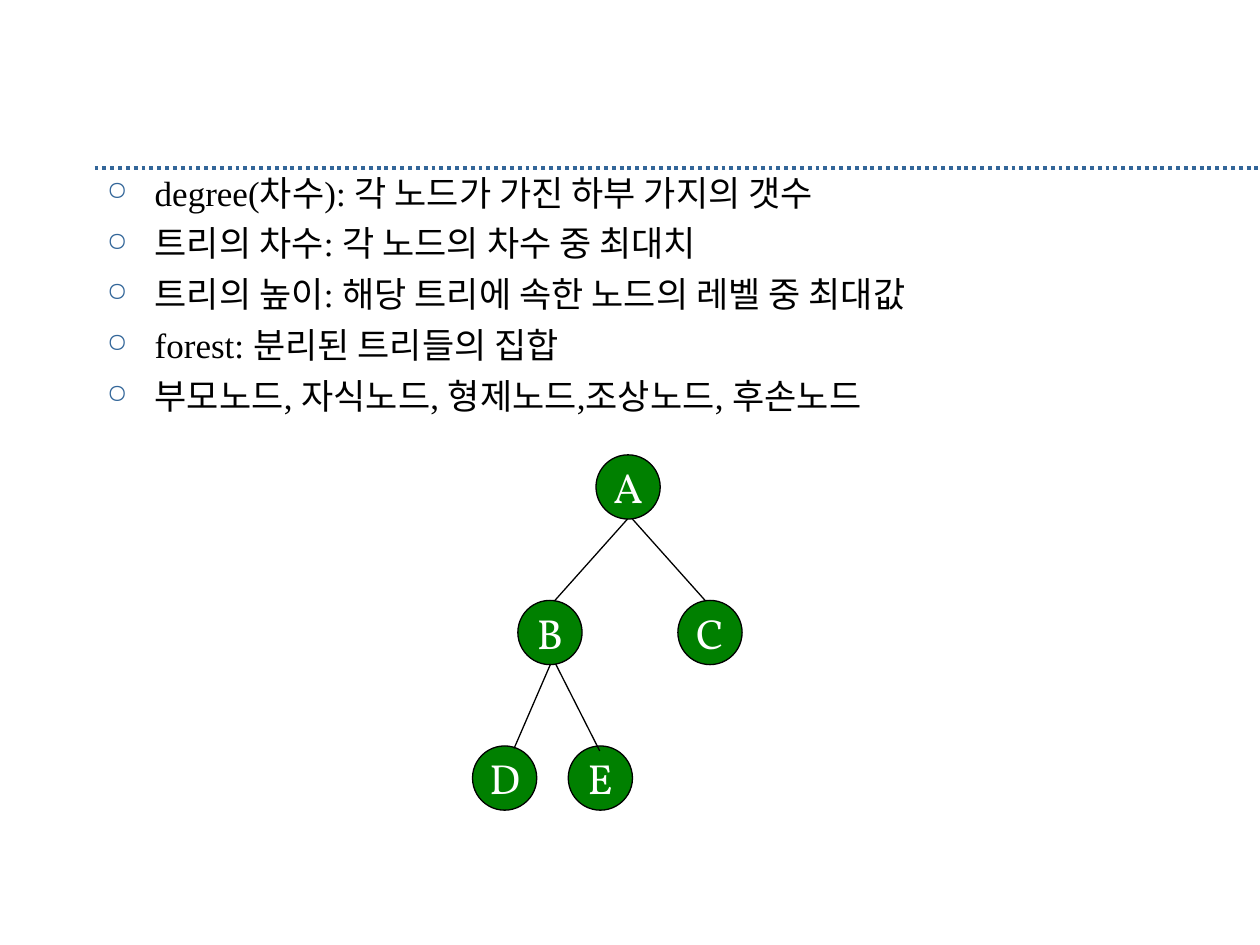
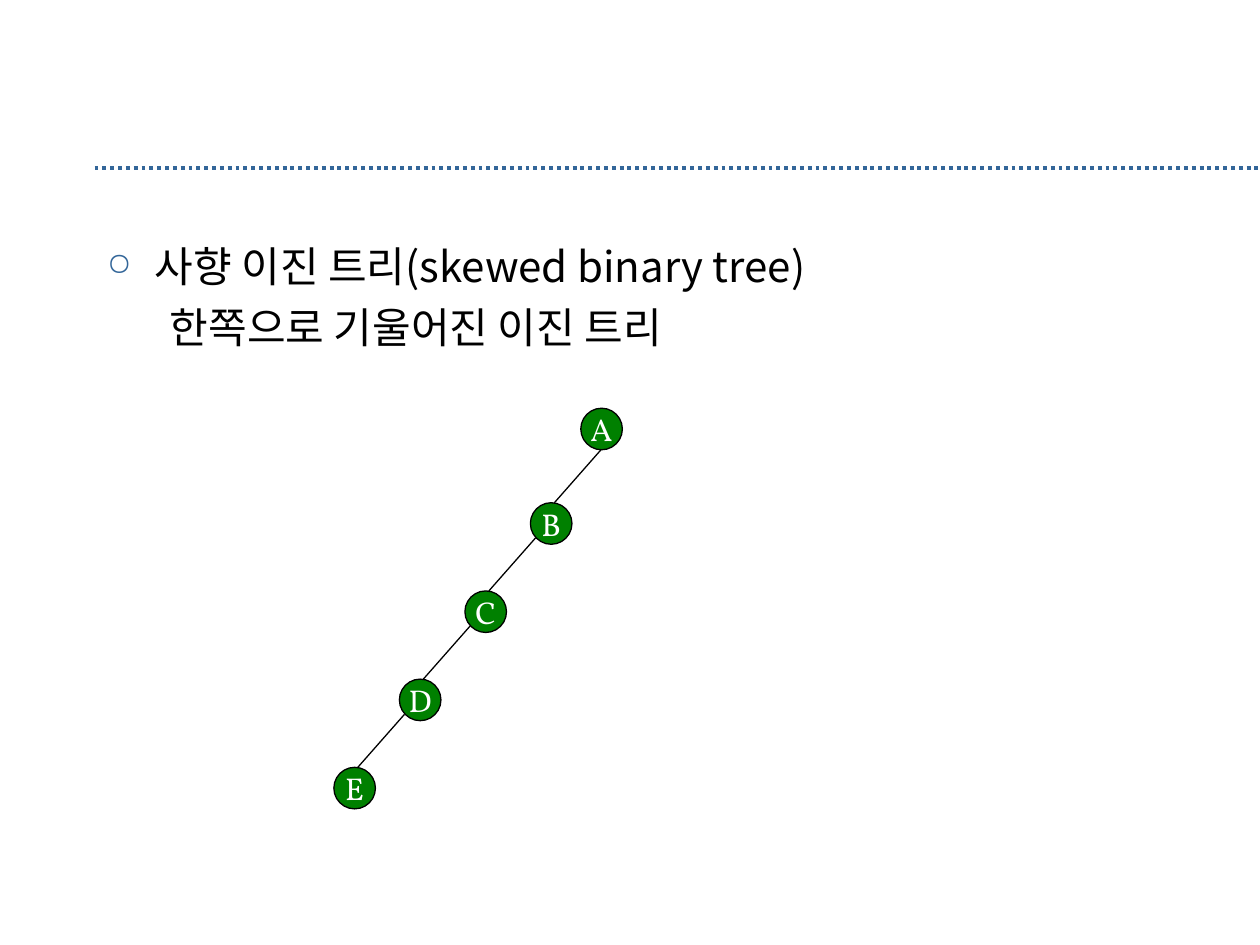
"""Two slides on trees: terms with a sample tree, and a skewed binary tree."""
from dataclasses import dataclass

from lxml import etree
from pptx import Presentation
from pptx.dml.color import RGBColor
from pptx.enum.dml import MSO_LINE
from pptx.enum.shapes import MSO_CONNECTOR, MSO_SHAPE
from pptx.enum.text import MSO_ANCHOR, PP_ALIGN
from pptx.oxml.ns import qn
from pptx.util import Inches, Pt

STRAIGHT = MSO_CONNECTOR.STRAIGHT
ELLIPSE = MSO_SHAPE.OVAL
MIDDLE = MSO_ANCHOR.MIDDLE
CENTER = PP_ALIGN.CENTER
DOTTED = MSO_LINE.ROUND_DOT

WIDTH, HEIGHT = Inches(10), Inches(7.5)
COLUMNS = 10
LEFT, BODY_COLUMNS, BODY_END = 0.75, 8.5, 6.67


@dataclass(frozen=True)
class Theme:
    """Colours, fonts and sizes shared by the slides."""
    accent: str = "336699"
    ink: str = "000000"
    node: str = "008000"
    node_text: str = "FFFFFF"
    serif: str = "Times New Roman"
    sans: str = "Noto Sans CJK KR"
    label: str = "Vollkorn"
    terms_size: int = 20
    skewed_size: int = 24
    tree_label: int = 24
    skewed_label: int = 18
    thin: float = 0.75
    thick: float = 2.25


THEME = Theme()

TERMS = [
    "degree(차수): 각 노드가 가진 하부 가지의 갯수",
    "트리의 차수: 각 노드의 차수 중 최대치",
    "트리의 높이: 해당 트리에 속한 노드의 레벨 중 최대값",
    "forest: 분리된 트리들의 집합",
    "부모노드, 자식노드, 형제노드,조상노드, 후손노드",
]
TREE_TOP, TREE_STEP, TREE_NODE = 3.61, 1.155, 0.51
TREE_LEVELS = [
    [("A", 4.73)],
    [("B", 4.11), ("C", 5.38)],
    [("D", 3.75), ("E", 4.51)],
]
TREE_EDGES = [
    (4.98, 4.12, 4.4, 4.77),
    (5.02, 4.12, 5.6, 4.77),
    (4.37, 5.27, 4.08, 5.94),
    (4.41, 5.27, 4.76, 5.96),
]
SKEWED_NODE = 0.33
SKEWED_ROOT = (4.61, 3.24)
SKEWED_CHILD = (4.21, 3.99)
SKEWED_STEP = (-0.52, 0.7)
SKEWED_EDGE = (0.37, 0.42)
SKEWED_EDGE_END = 0.19


def grid(n):
    """Return the length of n grid columns; rows are as tall as columns are wide."""
    return int(WIDTH * n / COLUMNS)


def rgb(code):
    """Turn a hex code into a colour."""
    return RGBColor.from_string(code)


def add_line(s, x1, y1, x2, y2, color=THEME.ink, width=THEME.thin):
    """Draw a straight line without a shadow."""
    line = s.shapes.add_connector(STRAIGHT, *map(grid, (x1, y1, x2, y2)))
    line.line.color.rgb = rgb(color)
    line.line.width = Pt(width)
    etree.SubElement(line._element.spPr, qn("a:effectLst"))
    return line


def add_run(p, text, size, font, color):
    """Add a run with the same font for Latin and Korean, save for serif text."""
    r = p.add_run()
    r.text = text
    r.font.size = Pt(size)
    r.font.name = font
    r.font.color.rgb = rgb(color)
    ea = etree.SubElement(r._r.get_or_add_rPr(), qn("a:ea"))
    ea.set("typeface", THEME.sans)


def indent(p, left, first):
    """Set the left margin and first-line indent in grid columns."""
    pPr = p._p.get_or_add_pPr()
    pPr.set("marL", str(grid(left)))
    pPr.set("indent", str(grid(first)))
    return pPr


def add_bullet(p):
    """Give a paragraph a hanging ring bullet."""
    pPr = indent(p, 0.38, -0.38)
    color = etree.SubElement(pPr, qn("a:buClr"))
    etree.SubElement(color, qn("a:srgbClr")).set("val", THEME.accent)
    etree.SubElement(pPr, qn("a:buSzPct")).set("val", "75000")
    etree.SubElement(pPr, qn("a:buChar")).set("char", "○")


def add_body(s, top, lines, size, font, gap):
    """Add body text from (text, bulleted) lines."""
    box = s.shapes.add_textbox(*map(grid, (LEFT, top, BODY_COLUMNS, BODY_END - top)))
    tf = box.text_frame
    tf.word_wrap = True
    for i, (text, bulleted) in enumerate(lines):
        p = tf.add_paragraph() if i else tf.paragraphs[0]
        if bulleted:
            add_bullet(p)
        else:
            indent(p, 0.81, -0.31)
        p.space_before = Pt(gap if i else 0)
        add_run(p, text, size, font, THEME.ink)


def add_node(s, name, x, y, side, size):
    """Draw a round tree node with its name."""
    sp = s.shapes.add_shape(ELLIPSE, *map(grid, (x, y, side, side)))
    sp.shadow.inherit = False
    sp.fill.solid()
    sp.fill.fore_color.rgb = rgb(THEME.node)
    sp.line.color.rgb = rgb(THEME.ink)
    sp.line.width = Pt(THEME.thin)
    tf = sp.text_frame
    tf.word_wrap = False
    tf.vertical_anchor = MIDDLE
    p = tf.paragraphs[0]
    p.alignment = CENTER
    add_run(p, name, size, THEME.label, THEME.node_text)


def add_slide(prs):
    """Add a blank slide with the dotted rule."""
    s = prs.slides.add_slide(prs.slide_layouts[6])
    rule = add_line(s, LEFT, 1.33, COLUMNS, 1.33, THEME.accent, THEME.thick)
    rule.line.dash_style = DOTTED
    return s


def add_tree(s):
    """Draw the sample tree level by level."""
    for level, nodes in enumerate(TREE_LEVELS):
        for name, x in nodes:
            add_node(s, name, x, TREE_TOP + level * TREE_STEP, TREE_NODE, THEME.tree_label)
    for edge in TREE_EDGES:
        add_line(s, *edge)


def add_skewed_tree(s):
    """Draw a chain of nodes leaning left, each joined to its parent."""
    add_node(s, "A", *SKEWED_ROOT, SKEWED_NODE, THEME.skewed_label)
    for i, name in enumerate("BCDE"):
        x, y = (start + i * step for start, step in zip(SKEWED_CHILD, SKEWED_STEP))
        add_node(s, name, x, y, SKEWED_NODE, THEME.skewed_label)
        end = x + SKEWED_EDGE_END
        add_line(s, end + SKEWED_EDGE[0], y - SKEWED_EDGE[1], end, y)


def main():
    """Build and save the slides."""
    prs = Presentation()
    prs.slide_width, prs.slide_height = WIDTH, HEIGHT

    s = add_slide(prs)
    add_body(s, 1.31, [(t, True) for t in TERMS], THEME.terms_size, THEME.serif, 5)
    add_tree(s)

    s = add_slide(prs)
    lines = [("사향 이진 트리(skewed binary tree)", True), ("한쪽으로 기울어진 이진 트리", False)]
    add_body(s, 1.86, lines, THEME.skewed_size, THEME.sans, 6)
    add_skewed_tree(s)

    prs.save("out.pptx")


if __name__ == "__main__":
    main()
